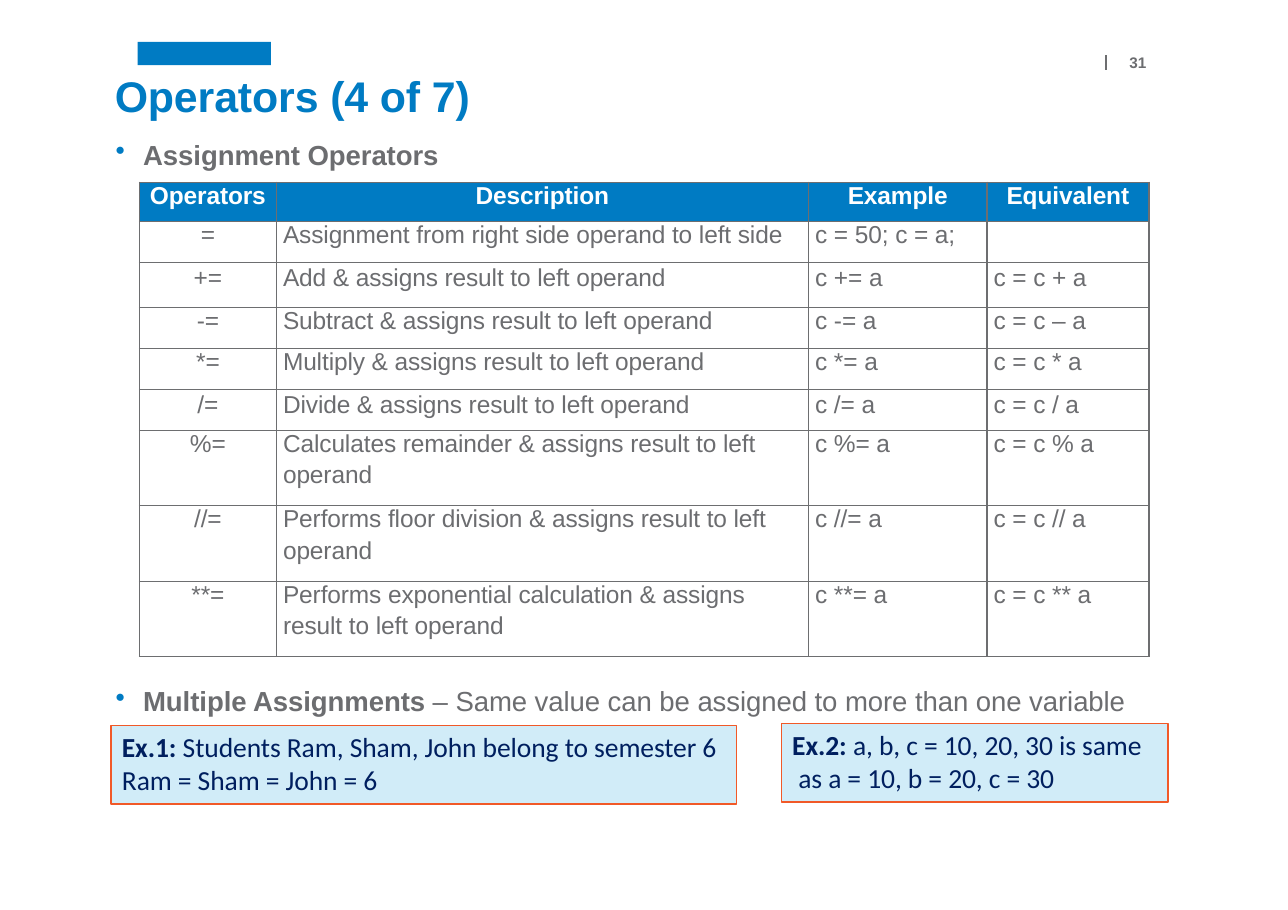
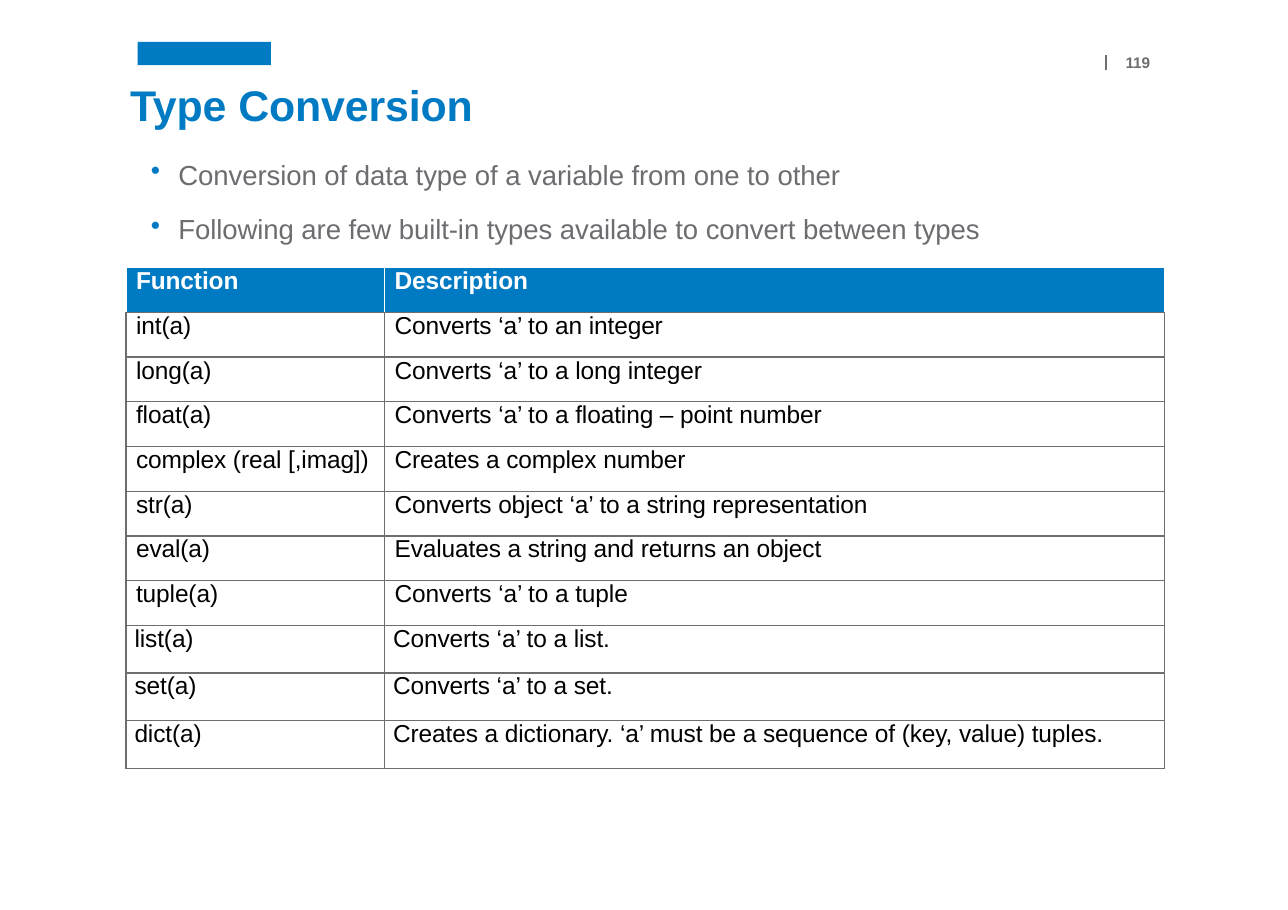
"""Builds two course slides on operators and type conversion."""
from lxml import etree
from pptx import Presentation
from pptx import util as u
from pptx.dml.color import RGBColor
from pptx.enum import shapes, text
from pptx.oxml import ns

BLUE = RGBColor(0x00, 0x7B, 0xC3)
GREY = RGBColor(0x6C, 0x6D, 0x70)
RULE = RGBColor(0x6D, 0x6E, 0x70)
WHITE = RGBColor(0xFF, 0xFF, 0xFF)
BLACK = RGBColor(0x00, 0x00, 0x00)
NAVY = RGBColor(0x00, 0x1F, 0x5F)
PALE_BLUE = RGBColor(0xD1, 0xEC, 0xF8)
ORANGE = RGBColor(0xF1, 0x59, 0x28)

LEFT, CENTER = text.PP_ALIGN.LEFT, text.PP_ALIGN.CENTER
TITLE = {"name": "Arial", "size": u.Pt(28), "bold": True}
BODY = {"name": "Arial", "size": u.Pt(18), "bold": False}
NUMBER = {"name": "Arial", "size": u.Pt(10), "bold": True}
CELL = {"name": "Arial", "size": u.Pt(16), "bold": False}
HEADER = {**CELL, "bold": True}
EXAMPLE = {"name": "Calibri", "size": u.Pt(18), "bold": False}
TIGHT = "-5"


def apply(target, values):
    """Set each attribute of the target from a dict."""
    for name, value in values.items():
        setattr(target, name, value)


def add_xml(parent, tag, **attributes):
    """Append a drawing element and return it."""
    return etree.SubElement(parent, ns.qn(tag), attributes)


def place(*points):
    """Turn numbers into lengths in points."""
    return [u.Pt(value) for value in points]


class SlideBuilder:
    """Holds the deck style and the current slide."""

    def __init__(self):
        """Start an empty deck."""
        self.deck = Presentation()
        self.deck.slide_width, self.deck.slide_height = place(841.7, 594.7)
        self.slide = None

    def new_slide(self, title, number, left, top):
        """Add a slide with its band, divider, title and page number."""
        self.slide = self.deck.slides.add_slide(self.deck.slide_layouts[6])
        self.rectangle(90, 27.4, 87, 15.2, BLUE)
        self.divider(722.9, 36, 46)
        self.text_box(left, top, 600, 33.8, [title], TITLE, BLUE)
        self.text_box(723.6, 34.6, 40, 13, [number], NUMBER, GREY, align=CENTER)

    def rectangle(self, left, top, width, height, fill, line=None):
        """Draw a filled rectangle, outlined if a line colour is given."""
        box = self.slide.shapes.add_shape(
            shapes.MSO_SHAPE.RECTANGLE, *place(left, top, width, height))
        box.shadow.inherit = False
        box.fill.solid()
        box.fill.fore_color.rgb = fill
        if line is None:
            box.line.fill.background()
        else:
            box.line.color.rgb = line
            box.line.width = u.Pt(1)
        return box

    def divider(self, left, top, bottom):
        """Draw the thin upright line beside the page number."""
        line = self.slide.shapes.add_connector(
            shapes.MSO_CONNECTOR.STRAIGHT, *place(left, top, left, bottom))
        line.line.color.rgb = RULE
        line.line.width = u.Pt(0.96)
        add_xml(line._element.spPr, "a:effectLst")

    def fill_text(self, frame, lines, font, color, align=LEFT, gap=0,
                  bullet=False, exact=None, hanging=0):
        """Fill a text frame; a line is a string or (text, bold) pairs."""
        for index, line in enumerate(lines):
            para = frame.add_paragraph() if index else frame.paragraphs[0]
            if bullet:
                self.bullet(para)
            para.alignment = align
            if exact:
                para.line_spacing = u.Pt(exact)
            if index:
                para.space_before = u.Pt(gap)
                if hanging:
                    para._p.get_or_add_pPr().set("marL", str(u.Pt(hanging)))
            pairs = [(line, font["bold"])] if isinstance(line, str) else line
            for words, bold in pairs:
                span = para.add_run()
                span.text = words
                apply(span.font, {**font, "bold": bold})
                span.font.color.rgb = color
                span._r.get_or_add_rPr().set("spc", TIGHT)

    def bullet(self, para):
        """Give a paragraph a blue bullet and a hanging indent."""
        props = para._p.get_or_add_pPr()
        props.set("marL", str(u.Pt(19.4)))
        props.set("indent", str(u.Pt(-18)))
        add_xml(add_xml(props, "a:buClr"), "a:srgbClr", val=str(BLUE))
        add_xml(props, "a:buChar", char="•")

    def text_box(self, left, top, width, height, lines, font, color, **layout):
        """Add a text box without margins."""
        box = self.slide.shapes.add_textbox(*place(left, top, width, height))
        apply(box.text_frame, {
            "word_wrap": True, "margin_left": 0, "margin_top": 0,
            "margin_right": 0, "margin_bottom": 0})
        self.fill_text(box.text_frame, lines, font, color, **layout)

    def bullets(self, left, top, lines):
        """Add a bulleted list."""
        self.text_box(left, top, 690, 22 * len(lines), lines, BODY, GREY,
                      gap=14.2, bullet=True)

    def example(self, left, top, width, lines, hanging=0):
        """Add an outlined example panel."""
        box = self.rectangle(left, top, width, 51.2, PALE_BLUE, ORANGE)
        apply(box.text_frame, {
            "word_wrap": True, "vertical_anchor": text.MSO_ANCHOR.TOP,
            "margin_left": u.Pt(7.2), "margin_top": u.Pt(3),
            "margin_right": 0, "margin_bottom": 0})
        self.fill_text(box.text_frame, lines, EXAMPLE, NAVY, hanging=hanging)

    def table(self, left, top, widths, heights, rows):
        """Add a plain grid and return its table."""
        grid = self.slide.shapes.add_table(
            len(rows), len(widths),
            *place(left, top, sum(widths), sum(heights))).table
        apply(grid, {"first_row": False, "horz_banding": False})
        for column, width in zip(grid.columns, widths):
            column.width = u.Pt(width)
        for row, height in zip(grid.rows, heights):
            row.height = u.Pt(height)
        return grid

    def cell(self, cell, words, header, color, indent, edge=RULE, **layout):
        """Border, fill and letter one table cell."""
        apply(cell, {"margin_left": u.Pt(indent), "margin_top": 0,
                     "margin_right": 0, "margin_bottom": 0})
        props = cell._tc.get_or_add_tcPr()
        for side in "LRTB":
            line = add_xml(props, f"a:ln{side}", w=str(u.Pt(1)))
            shade = RULE if side == "B" else edge
            add_xml(add_xml(line, "a:solidFill"), "a:srgbClr", val=str(shade))
        if header:
            cell.fill.solid()
            cell.fill.fore_color.rgb = BLUE
        else:
            cell.fill.background()
        if words:
            self.fill_text(cell.text_frame, words.split("\n"),
                           HEADER if header else CELL,
                           WHITE if header else color, gap=2.9, **layout)


OPERATORS = [
    ("Operators", "Description", "Example", "Equivalent"),
    ("=", "Assignment from right side operand to left side", "c = 50; c = a;", ""),
    ("+=", "Add & assigns result to left operand", "c += a", "c = c + a"),
    ("-=", "Subtract & assigns result to left operand", "c -= a", "c = c – a"),
    ("*=", "Multiply & assigns result to left operand", "c *= a", "c = c * a"),
    ("/=", "Divide & assigns result to left operand", "c /= a", "c = c / a"),
    ("%=", "Calculates remainder & assigns result to left\noperand",
     "c %= a", "c = c % a"),
    ("//=", "Performs floor division & assigns result to left\noperand",
     "c //= a", "c = c // a"),
    ("**=", "Performs exponential calculation & assigns\nresult to left operand",
     "c **= a", "c = c ** a"),
]

CONVERSIONS = [
    ("Function", "Description"),
    ("int(a)", "Converts ‘a’ to an integer"),
    ("long(a)", "Converts ‘a’ to a long integer"),
    ("float(a)", "Converts ‘a’ to a floating – point number"),
    ("complex (real [,imag])", "Creates a complex number"),
    ("str(a)", "Converts object ‘a’ to a string representation"),
    ("eval(a)", "Evaluates a string and returns an object"),
    ("tuple(a)", "Converts ‘a’ to a tuple"),
    ("list(a)", "Converts ‘a’ to a list."),
    ("set(a)", "Converts ‘a’ to a set."),
    ("dict(a)", "Creates a dictionary. ‘a’ must be a sequence of (key, value) tuples."),
]


def operators_slide(page):
    """Build the slide on assignment operators."""
    page.new_slide("Operators (4 of 7)", "31", 75, 45.4)
    page.bullets(74.2, 90, [[("Assignment Operators", True)]])
    page.bullets(74.2, 447.2, [[
        ("Multiple Assignments ", True),
        ("– Same value can be assigned to more than one variable", False)]])
    heights = [25.5, 26.8, 29.4] + [26.8] * 3 + [49.3] * 3
    grid = page.table(91.2, 119.2, [89.4, 347.8, 116.6, 105.9], heights, OPERATORS)
    for r, row in enumerate(OPERATORS):
        for c, words in enumerate(row):
            centered = r == 0 or c == 0
            page.cell(grid.cell(r, c), words, r == 0, GREY,
                      0 if centered else 4.4,
                      align=CENTER if centered else LEFT,
                      exact=19.1 if row[0] in ("+=", "/=") else None)
    page.example(72.6, 474.2, 408.6, [
        [("Ex.1: ", True), ("Students Ram, Sham, John belong to semester 6", False)],
        "Ram = Sham = John = 6"])
    page.example(510.6, 473, 252.6, [
        [("Ex.2: ", True), ("a, b, c = 10, 20, 30 is same", False)],
        "as a = 10, b = 20, c = 30"], hanging=4)


def conversion_slide(page):
    """Build the slide on type conversion."""
    page.new_slide("Type Conversion", "119", 85, 51.2)
    page.bullets(97.2, 103, [
        "Conversion of data type of a variable from one to other",
        "Following are few built-in types available to convert between types"])
    heights = [29.2] * 8 + [31.2] * 3
    grid = page.table(82.4, 175, [169, 509.6], heights, CONVERSIONS)
    for r, row in enumerate(CONVERSIONS):
        for c, words in enumerate(row):
            page.cell(grid.cell(r, c), words, r == 0, BLACK,
                      6.5 if r < 8 else 5.5, edge=RULE if r else WHITE)


def main():
    """Build and save the deck."""
    page = SlideBuilder()
    operators_slide(page)
    conversion_slide(page)
    page.deck.save("out.pptx")


if __name__ == "__main__":
    main()
